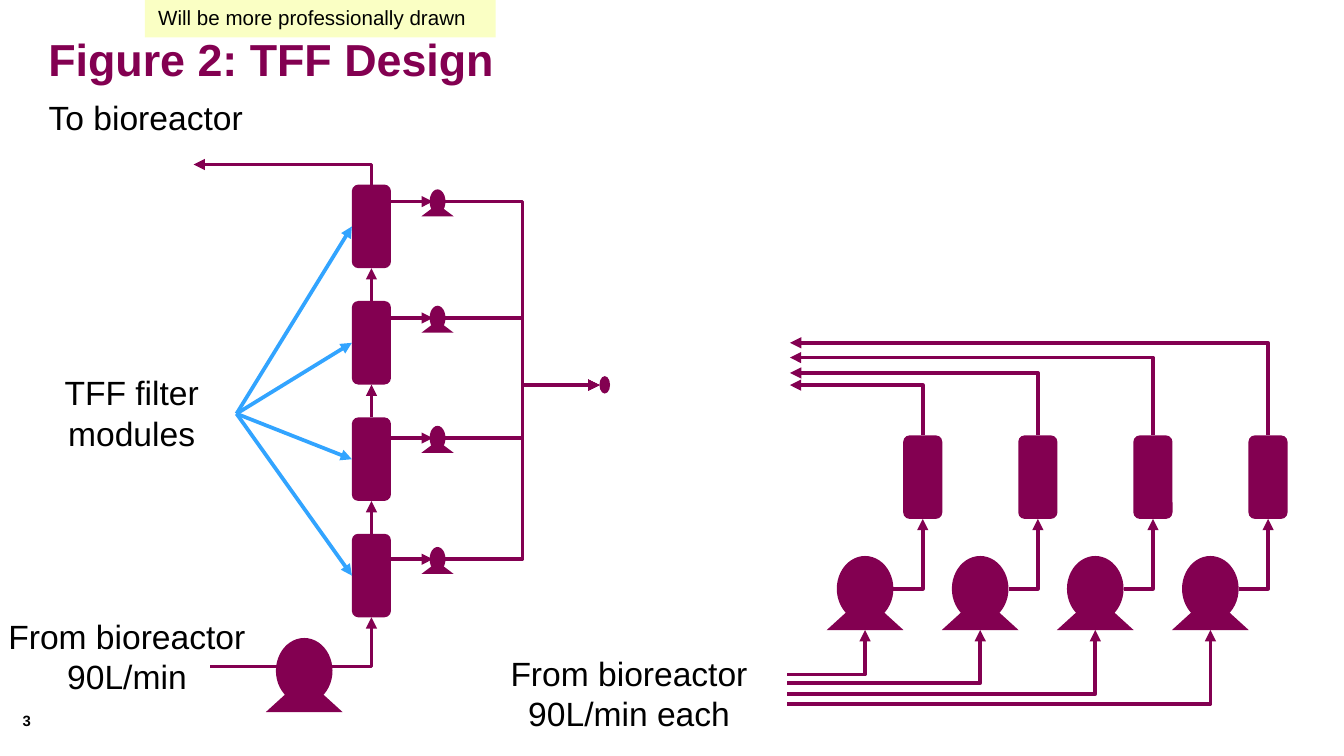
"""Build the TFF design slide with filters in series and in parallel."""
from dataclasses import dataclass
from typing import NamedTuple, Optional

from lxml.etree import SubElement
from pptx import Presentation
from pptx.dml.color import RGBColor
from pptx.enum.shapes import MSO_CONNECTOR as Connector, MSO_SHAPE as Preset
from pptx.enum.text import MSO_ANCHOR as Anchor, PP_ALIGN as Align
from pptx.oxml.ns import qn
from pptx.util import Cm, Pt

PLUM = RGBColor(0x83, 0x00, 0x51)
BLUE = RGBColor(0x32, 0xA4, 0xFF)
YELLOW = RGBColor(0xFA, 0xFF, 0xC4)
BLACK = RGBColor(0x00, 0x00, 0x00)

FILTER_WIDTH, FILTER_HEIGHT = 0.74, 1.58
SERIES_LEFT, SERIES_TOP, SERIES_PITCH = 6.65, 3.49, 2.2
PERMEATE_LEVELS = (3.81, 6.01, 8.28, 10.57)
PARALLEL_PITCH = 2.175
RETURN_LEVELS = (7.28, 7.05, 6.76, 6.48)
FEED_LEVELS = (12.75, 12.91, 13.12, 13.31)
ELLIPSE_LEFT, ELLIPSE_RIGHT, TRIANGLE_BOTTOM = 2, 6, 3
FILTER_TOP, FILTER_BOTTOM = 0, 2


class Point(NamedTuple):
    x: float
    y: float


class Glue(NamedTuple):
    shape: object
    site: int


@dataclass(frozen=True)
class PumpSize:
    width: float
    height: float
    base_width: float
    base_height: float
    base_drop: float


@dataclass(frozen=True)
class Pump:
    body: object
    base: object
    outlet: Point
    inlet: Point


@dataclass(frozen=True)
class Label:
    text: str
    left: float
    top: float
    width: float
    height: float


SMALL_PUMP = PumpSize(0.3, 0.46, 0.61, 0.23, 0.28)
LARGE_PUMP = PumpSize(1.07, 1.24, 1.45, 0.66, 0.74)
LABELS = (
    Label("TFF filter modules", 0.51, 6.91, 3.96, 1.8),
    Label("From bioreactor\n90L/min", -0.89, 11.51, 6.58, 1.8),
    Label("To bioreactor", 0.43, 1.7, 4.65, 1.02),
    Label("From bioreactor\n90L/min each", 9.02, 12.22, 5.74, 1.8),
)


def write(shape, text: str, *, size: float, color: RGBColor = BLACK, bold: bool = False,
          align: Align = Align.LEFT, anchor: Anchor = Anchor.TOP, inset: Optional[float] = None) -> None:
    frame = shape.text_frame
    frame.text = text
    frame.word_wrap = True
    frame.vertical_anchor = anchor
    if inset is not None:
        frame.margin_left = frame.margin_right = Cm(inset)
        frame.margin_top = frame.margin_bottom = Cm(inset)
    for paragraph in frame.paragraphs:
        paragraph.alignment = align
        font = paragraph.font
        font.name, font.size, font.bold = "Arial", Pt(size), bold
        font.color.rgb = color


def add_text(slide, text: str, left: float, top: float, width: float, height: float, **style) -> None:
    write(slide.shapes.add_textbox(Cm(left), Cm(top), Cm(width), Cm(height)), text, **style)


def add_solid(slide, preset: Preset, left: float, top: float, width: float, height: float,
              color: RGBColor = PLUM):
    shape = slide.shapes.add_shape(preset, Cm(left), Cm(top), Cm(width), Cm(height))
    shape.shadow.inherit = False
    shape.fill.solid()
    shape.fill.fore_color.rgb = color
    shape.line.fill.background()
    return shape


def add_filter(slide, left: float, top: float):
    return add_solid(slide, Preset.ROUNDED_RECTANGLE, left, top, FILTER_WIDTH, FILTER_HEIGHT)


def add_pump(slide, center: float, top: float, size: PumpSize) -> Pump:
    base_top = top + size.base_drop
    body = add_solid(slide, Preset.OVAL, center - size.width / 2, top, size.width, size.height)
    base = add_solid(slide, Preset.ISOSCELES_TRIANGLE, center - size.base_width / 2, base_top,
                     size.base_width, size.base_height)
    return Pump(body, base, Point(center + size.width / 2, top + size.height / 2),
                Point(center, base_top + size.base_height))


def add_arrow(slide, start: Point, end: Point, *, kind: Connector = Connector.STRAIGHT,
              color: RGBColor = PLUM, arrow_end: str = "a:tailEnd"):
    connector = slide.shapes.add_connector(kind, Cm(start.x), Cm(start.y), Cm(end.x), Cm(end.y))
    connector.line.color.rgb = color
    connector.line.width = Pt(2)
    SubElement(connector.line._get_or_add_ln(), qn(arrow_end), type="triangle")
    SubElement(connector._element.spPr, qn("a:effectLst"))
    return connector


def add_elbow(slide, start: Point, end: Point, *, begin_glue: Optional[Glue] = None,
              end_glue: Optional[Glue] = None, preset: str = "bentConnector2",
              arrow_end: str = "a:tailEnd") -> None:
    connector = add_arrow(slide, start, end, kind=Connector.ELBOW, arrow_end=arrow_end)
    connector._element.spPr.find(qn("a:prstGeom")).set("prst", preset)
    properties = connector._element.nvCxnSpPr.cNvCxnSpPr
    for tag, glue in (("a:stCxn", begin_glue), ("a:endCxn", end_glue)):
        if glue:
            SubElement(properties, qn(tag), id=str(glue.shape.shape_id), idx=str(glue.site))


def draw_series(slide) -> None:
    center = SERIES_LEFT + FILTER_WIDTH / 2
    tops = [SERIES_TOP + SERIES_PITCH * row for row in range(4)]
    filters = [add_filter(slide, SERIES_LEFT, top) for top in tops]
    for upper, lower in zip(filters, filters[1:]):
        flow = add_arrow(slide, Point(0, 0), Point(1, 1))
        flow.begin_connect(lower, FILTER_TOP)
        flow.end_connect(upper, FILTER_BOTTOM)

    outlet = add_solid(slide, Preset.OVAL, 11.33, 7.11, 0.2, 0.33)
    for level in PERMEATE_LEVELS:
        add_arrow(slide, Point(SERIES_LEFT + FILTER_WIDTH, level), Point(8.18, level))
        pump = add_pump(slide, 8.27, level - SMALL_PUMP.height / 2, SMALL_PUMP)
        add_elbow(slide, pump.outlet, Point(11.33, 7.28), preset="bentConnector3",
                  begin_glue=Glue(pump.body, ELLIPSE_RIGHT), end_glue=Glue(outlet, ELLIPSE_LEFT))

    add_elbow(slide, Point(3.97, 12.6), Point(center, tops[-1] + FILTER_HEIGHT),
              end_glue=Glue(filters[-1], FILTER_BOTTOM))
    add_elbow(slide, Point(3.66, 3.11), Point(center, tops[0]),
              end_glue=Glue(filters[0], FILTER_TOP), arrow_end="a:headEnd")
    for module in filters:
        pointer = add_arrow(slide, Point(4.47, 7.82), Point(SERIES_LEFT, 7.82), color=BLUE)
        pointer.end_connect(module, 1)
    add_pump(slide, 5.75, 12.06, LARGE_PUMP)


def draw_parallel(slide) -> None:
    for column, (return_level, feed_level) in enumerate(zip(RETURN_LEVELS, FEED_LEVELS)):
        shift = column * PARALLEL_PITCH
        left, top = 17.07 + shift, 8.23
        center = left + FILTER_WIDTH / 2
        module = add_filter(slide, left, top)
        pump = add_pump(slide, 16.35 + shift, 10.51, LARGE_PUMP)
        add_elbow(slide, pump.outlet, Point(center, top + FILTER_HEIGHT),
                  begin_glue=Glue(pump.body, ELLIPSE_RIGHT), end_glue=Glue(module, FILTER_BOTTOM))
        add_elbow(slide, Point(14.88, feed_level), pump.inlet,
                  end_glue=Glue(pump.base, TRIANGLE_BOTTOM))
        add_elbow(slide, Point(14.93, return_level), Point(center, top),
                  end_glue=Glue(module, FILTER_TOP), arrow_end="a:headEnd")


def main() -> None:
    presentation = Presentation()
    presentation.slide_width, presentation.slide_height = Cm(25.4), Cm(14.29)
    slide = presentation.slides.add_slide(presentation.slide_layouts[5])

    title = slide.shapes.title
    title.left, title.top, title.width, title.height = Cm(0.66), Cm(0.41), Cm(24.36), Cm(1.4)
    write(title, "Figure 2: TFF Design", size=24, color=PLUM, bold=True, anchor=Anchor.MIDDLE)
    add_text(slide, "3", 0.43, 13.46, 1.09, 0.46, size=8, bold=True, inset=0)
    for label in LABELS:
        add_text(slide, label.text, label.left, label.top, label.width, label.height,
                 size=18, align=Align.CENTER)

    draw_series(slide)
    draw_parallel(slide)
    note = add_solid(slide, Preset.RECTANGLE, 2.74, -0.03, 6.63, 0.74, YELLOW)
    write(note, "Will be more professionally drawn", size=11)
    presentation.save("out.pptx")


if __name__ == "__main__":
    main()
